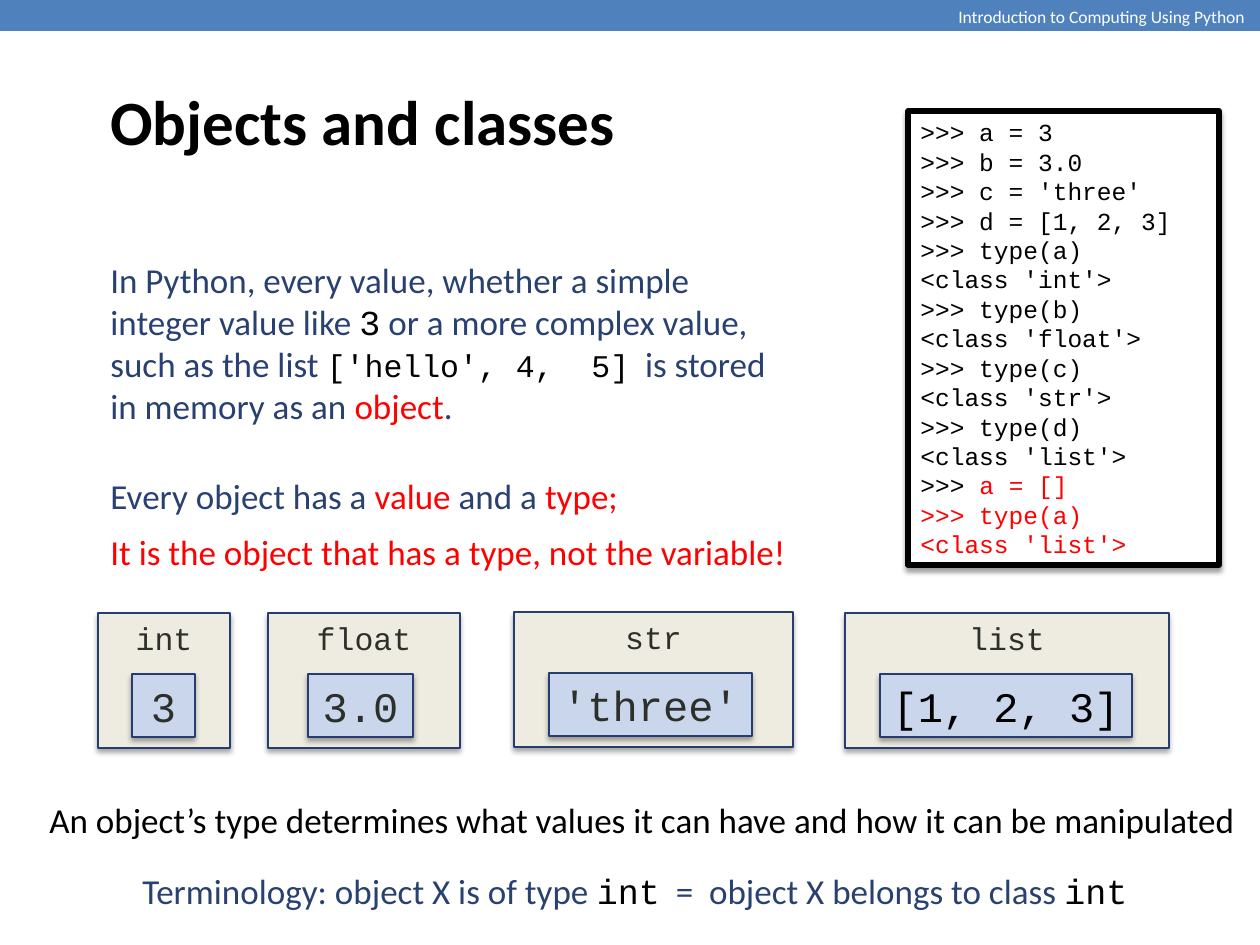
from typing import NamedTuple

from lxml import etree
from pptx import Presentation
from pptx.dml.color import RGBColor
from pptx.enum import shapes, text
from pptx.oxml import ns
from pptx import util as u

PX = 914400 / 126
SANS, MONO = "Calibri", "Courier New"
BLACK = RGBColor(0x00, 0x00, 0x00)
WHITE = RGBColor(0xFF, 0xFF, 0xFF)
RED = RGBColor(0xFF, 0x00, 0x00)
NAVY = RGBColor(0x29, 0x41, 0x71)
EDGE = RGBColor(0x26, 0x3E, 0x6F)
BLUE = RGBColor(0x4F, 0x81, 0xBD)
SKY = RGBColor(0xCA, 0xD6, 0xEB)
SAND = RGBColor(0xEE, 0xEC, 0xE1)
INK = RGBColor(0x2D, 0x2F, 0x2B)
TOP, MIDDLE = text.MSO_ANCHOR.TOP, text.MSO_ANCHOR.MIDDLE


class Box(NamedTuple):
    left: int
    top: int
    width: int
    height: int


class Run(NamedTuple):
    words: str
    color: RGBColor = NAVY
    size: int = 20
    font: str = SANS
    bold: bool = False


class Note(NamedTuple):
    box: Box
    runs: list[Run]
    anchor: text.MSO_ANCHOR = MIDDLE
    inset: int = 6


class Item(NamedTuple):
    kind: str
    value: str
    left: int
    top: int
    width: int
    inner: int
    span: int
    ink: RGBColor = INK


ITEMS = [
    Item("int", "3", 98, 613, 132, 132, 63),
    Item("float", "3.0", 268, 613, 192, 308, 105),
    Item("str", "'three'", 514, 612, 279, 549, 203),
    Item("list", "[1, 2, 3]", 845, 613, 324, 880, 252, BLACK),
]

NOTES = [
    Note(Box(946, 0, 315, 54),
         [Run("Introduction to Computing Using Python", WHITE, 10)], TOP),
    Note(Box(98, 0, 1071, 203),
         [Run("Objects and classes", BLACK, 36, bold=True)], inset=44),
    Note(Box(98, 231, 696, 223), [
        Run("In Python, every value, whether a simple integer value like "),
        Run("3", BLACK, font=MONO),
        Run(" or a more complex value, such as the list "),
        Run("['hello', 4,  5]", BLACK, 18, MONO),
        Run("  is stored in memory as an "),
        Run("object", RED),
        Run("."),
    ]),
    Note(Box(98, 447, 548, 97), [
        Run("Every object has a "),
        Run("value ", RED),
        Run("and a "),
        Run("type;", RED),
    ]),
    Note(Box(98, 503, 707, 97),
         [Run("It is the object that has a type, not the variable!", RED)]),
    Note(Box(130, 842, 1033, 97), [
        Run("Terminology: object X is of type "),
        Run("int", BLACK, font=MONO),
        Run("  =  object X belongs to class "),
        Run("int", BLACK, font=MONO),
    ]),
    Note(Box(37, 771, 1225, 97),
         [Run("An object’s type determines what values it can have "
              "and how it can be manipulated", BLACK)]),
]

CODE = """>>> a = 3
>>> b = 3.0
>>> c = 'three'
>>> d = [1, 2, 3]
>>> type(a)
<class 'int'>
>>> type(b)
<class 'float'>
>>> type(c)
<class 'str'>
>>> type(d)
<class 'list'>"""


def code(words: str, color: RGBColor = BLACK) -> Run:
    return Run(words, color, 14, MONO)


def scale(box: Box) -> list[int]:
    return [round(side * PX) for side in box]


def write(para, runs: list[Run]) -> None:
    for item in runs:
        run = para.add_run()
        run.text = item.words
        run.font.name = item.font
        run.font.size = u.Pt(item.size)
        run.font.bold = item.bold
        run.font.color.rgb = item.color


def shade(shape, alpha: int) -> None:
    glow = etree.SubElement(
        shape.element.spPr.find(ns.qn("a:effectLst")), ns.qn("a:outerShdw"),
        blurRad=str(u.Pt(3.1)), dist=str(u.Pt(1.8)), dir="5400000",
        rotWithShape="0")
    tone = etree.SubElement(glow, ns.qn("a:srgbClr"), val=str(BLACK))
    etree.SubElement(tone, ns.qn("a:alpha"), val=str(alpha * 1000))


def block(slide, box: Box, fill: RGBColor, edge: RGBColor | None = None,
          weight: float = 0.75, alpha: int = 35):
    shape = slide.shapes.add_shape(shapes.MSO_SHAPE.RECTANGLE, *scale(box))
    shape.shadow.inherit = False
    shape.fill.solid()
    shape.fill.fore_color.rgb = fill
    if edge is None:
        shape.line.fill.background()
    else:
        shape.line.color.rgb = edge
        shape.line.width = u.Pt(weight)
        shade(shape, alpha)
    return shape


def label(slide, box: Box, fill: RGBColor, run: Run,
          anchor: text.MSO_ANCHOR) -> None:
    frame = block(slide, box, fill, EDGE).text_frame
    frame.word_wrap = False
    frame.vertical_anchor = anchor
    para = frame.paragraphs[0]
    para.alignment = text.PP_ALIGN.CENTER
    write(para, [run])


def place(slide, note: Note) -> None:
    frame = slide.shapes.add_textbox(*scale(note.box)).text_frame
    frame.word_wrap = True
    frame.vertical_anchor = note.anchor
    frame.margin_top = round(note.inset * PX)
    write(frame.paragraphs[0], note.runs)


def shell(slide, box: Box, lines: list[list[Run]]) -> None:
    frame = block(slide, box, WHITE, BLACK, 3, 38).text_frame
    frame.word_wrap = True
    frame.vertical_anchor = MIDDLE
    for row, runs in enumerate(lines):
        para = frame.add_paragraph() if row else frame.paragraphs[0]
        para.alignment = text.PP_ALIGN.LEFT
        write(para, runs)


def main() -> None:
    deck = Presentation()
    deck.slide_width, deck.slide_height = u.Inches(10), u.Inches(7.5)
    slide = deck.slides.add_slide(deck.slide_layouts[6])
    block(slide, Box(0, 0, 1261, 31), BLUE)
    for item in ITEMS:
        label(slide, Box(item.left, item.top, item.width, 135), SAND,
              Run(item.kind, INK, 18, MONO), TOP)
        label(slide, Box(item.inner, item.top + 61, item.span, 63), SKY,
              Run(item.value, item.ink, 24, MONO), MIDDLE)
    for note in NOTES:
        place(slide, note)
    lines = [[code(line)] for line in CODE.splitlines()]
    lines.append([code(">>> "), code("a = []", RED)])
    lines += [[code(line, RED)] for line in (">>> type(a)", "<class 'list'>")]
    shell(slide, Box(908, 111, 311, 454), lines)
    deck.save("out.pptx")


if __name__ == "__main__":
    main()
